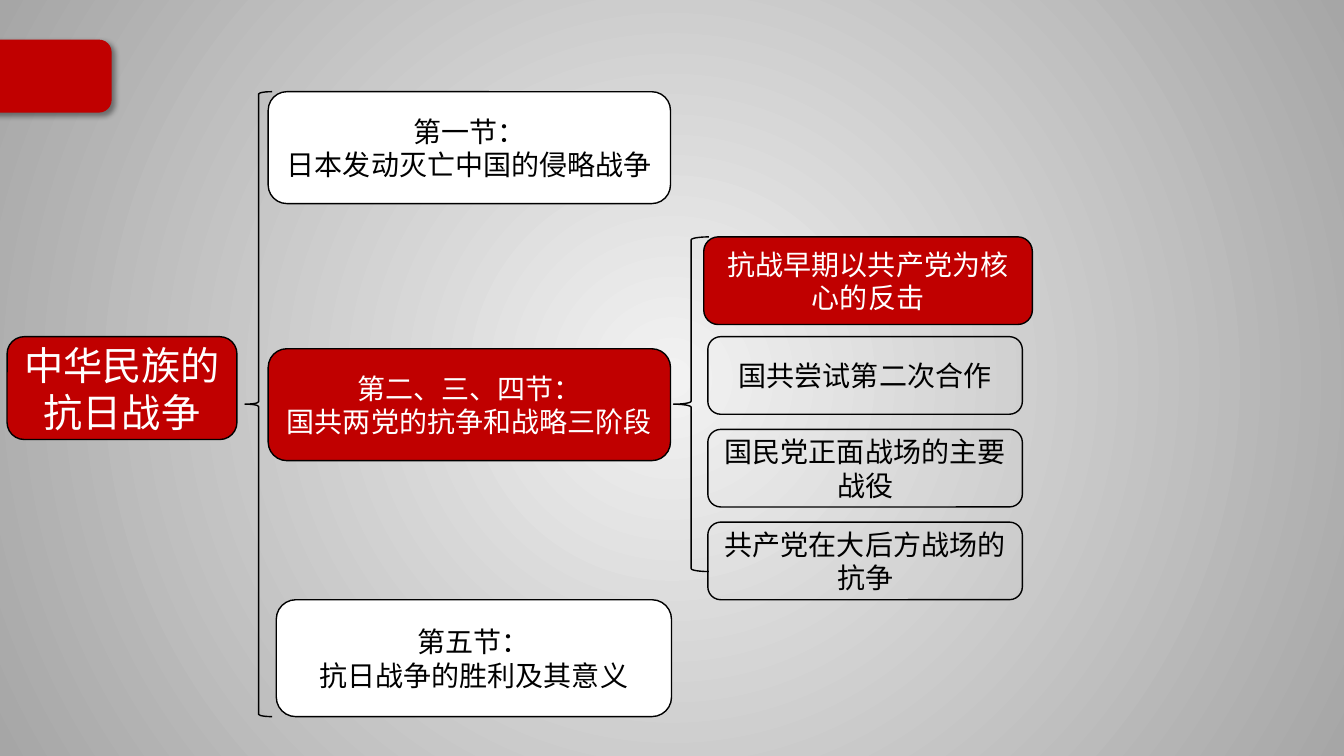
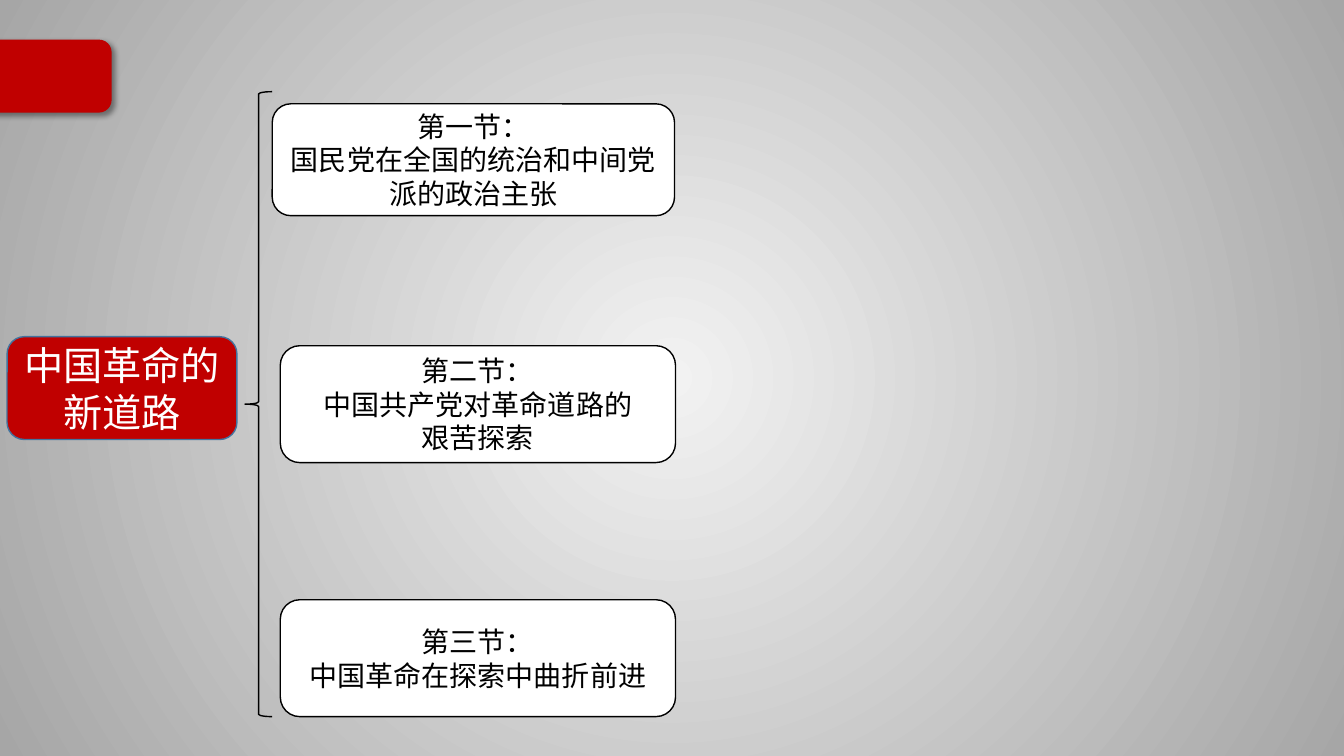
from lxml import etree
from pptx import Presentation
from pptx.dml.color import RGBColor
from pptx.enum.shapes import MSO_SHAPE
from pptx.enum.text import MSO_ANCHOR, PP_ALIGN
from pptx.oxml import parse_xml
from pptx.oxml.ns import nsdecls, qn
from pptx.util import Inches, Pt

ROUNDED = MSO_SHAPE.ROUNDED_RECTANGLE
BRACE = MSO_SHAPE.LEFT_BRACE
CENTER = PP_ALIGN.CENTER
MIDDLE = MSO_ANCHOR.MIDDLE

FONT = "Noto Sans CJK SC"
COLORS = {
    "red": "C00000",
    "black": "000000",
    "white": "FFFFFF",
    "blue": "43739E",
    "glow": "F2F2F2",
    "edge": "A6A6A6",
}
RADIAL_PATH = (
    f'<a:path {nsdecls("a")} path="circle">'
    '<a:fillToRect l="50000" t="50000" r="50000" b="50000"/></a:path>'
)
TAB_SHADOW = (
    f'<a:effectLst {nsdecls("a")}>'
    '<a:outerShdw blurRad="50800" dist="38100" dir="2700000" algn="tl" rotWithShape="0">'
    f'<a:srgbClr val="{COLORS["black"]}"><a:alpha val="40000"/></a:srgbClr>'
    "</a:outerShdw></a:effectLst>"
)


def color(name):
    return RGBColor.from_string(COLORS[name])


class OutlineDeck:
    """Builds outline slides: a topic, a brace and its sections."""

    def __init__(self):
        self.presentation = Presentation()
        self.presentation.slide_width = Inches(13.33)
        self.presentation.slide_height = Inches(7.5)
        self.slide = None
        self.set_background()

    def set_background(self):
        """Give the master a radial gradient that every slide inherits."""
        master = self.presentation.slide_master
        fill = master.background.fill
        fill.gradient()
        for stop, position, name in zip(fill.gradient_stops, (0, 1), ("glow", "edge")):
            stop.position = position
            stop.color.rgb = color(name)
        gradient = master.element.find(".//" + qn("a:gradFill"))
        linear = gradient.find(qn("a:lin"))
        gradient.replace(linear, parse_xml(RADIAL_PATH))

    def new_slide(self, topic, topic_line="black"):
        layout = self.presentation.slide_layouts.get_by_name("Blank")
        self.slide = self.presentation.slides.add_slide(layout)
        self.corner_tab()
        self.box([topic], 0.07, 3.34, 2.28, 1.02, fill="red", line=topic_line, size=28)
        self.brace(2.43, 0.91, 0.27, 6.2)

    def shape(self, kind, left, top, width, height, fill=None, line="black"):
        shape = self.slide.shapes.add_shape(
            kind, Inches(left), Inches(top), Inches(width), Inches(height)
        )
        shape.shadow.inherit = False
        if fill:
            shape.fill.solid()
            shape.fill.fore_color.rgb = color(fill)
        else:
            shape.fill.background()
        shape.line.color.rgb = color(line)
        shape.line.width = Pt(1)
        return shape

    def corner_tab(self):
        tab = self.shape(ROUNDED, -0.18, 0.4, 1.28, 0.71, fill="red", line="red")
        properties = tab.element.spPr
        properties.replace(properties.find(qn("a:effectLst")), parse_xml(TAB_SHADOW))

    def brace(self, left, top, width, height):
        self.shape(BRACE, left, top, width, height)

    def box(self, lines, left, top, width, height, fill=None, line="black", size=20):
        """Draw a rounded box with one centred paragraph for each line."""
        shape = self.shape(ROUNDED, left, top, width, height, fill, line)
        text_frame = shape.text_frame
        text_frame.word_wrap = True
        text_frame.vertical_anchor = MIDDLE
        text_frame.text = "\n".join(lines)
        for paragraph in text_frame.paragraphs:
            paragraph.alignment = CENTER
            for run in paragraph.runs:
                run.font.size = Pt(size)
                run.font.name = FONT
                run.font.color.rgb = color("white" if fill == "red" else "black")
                east_asian = etree.SubElement(run.font._element, qn("a:ea"))
                east_asian.set("typeface", FONT)

    def wide_section(self, lines, left, top, fill="white"):
        self.box(lines, left, top, 3.99, 1.11, fill)

    def tall_section(self, lines, left, top):
        self.box(lines, left, top, 3.92, 1.16, "white")

    def subsections(self, names, left, top, pitch):
        for index, name in enumerate(names):
            self.box([name], left, top + index * pitch, 3.12, 0.77)


def build_war_slide(deck):
    deck.new_slide("中华民族的抗日战争")
    deck.wide_section(["第一节：", "日本发动灭亡中国的侵略战争"], 2.66, 0.91)
    deck.wide_section(["第二、三、四节：", "国共两党的抗争和战略三阶段"], 2.66, 3.46, "red")
    deck.tall_section(["第五节：", "抗日战争的胜利及其意义"], 2.74, 5.95)
    deck.brace(6.68, 2.35, 0.35, 3.32)
    deck.box(["抗战早期以共产党为核心的反击"], 6.98, 2.35, 3.26, 0.87, "red")
    deck.subsections(
        ["国共尝试第二次合作", "国民党正面战场的主要战役", "共产党在大后方战场的抗争"],
        7.02, 3.34, 0.92,
    )


def build_revolution_slide(deck):
    deck.new_slide("中国革命的新道路", topic_line="blue")
    deck.wide_section(["第一节：", "国民党在全国的统治和中间党派的政治主张"], 2.7, 1.03)
    deck.tall_section(["第二节：", "中国共产党对革命道路的", "艰苦探索"], 2.78, 3.43)
    deck.tall_section(["第三节：", "中国革命在探索中曲折前进"], 2.78, 5.95)


def main():
    deck = OutlineDeck()
    build_war_slide(deck)
    build_revolution_slide(deck)
    deck.presentation.save("out.pptx")


if __name__ == "__main__":
    main()
